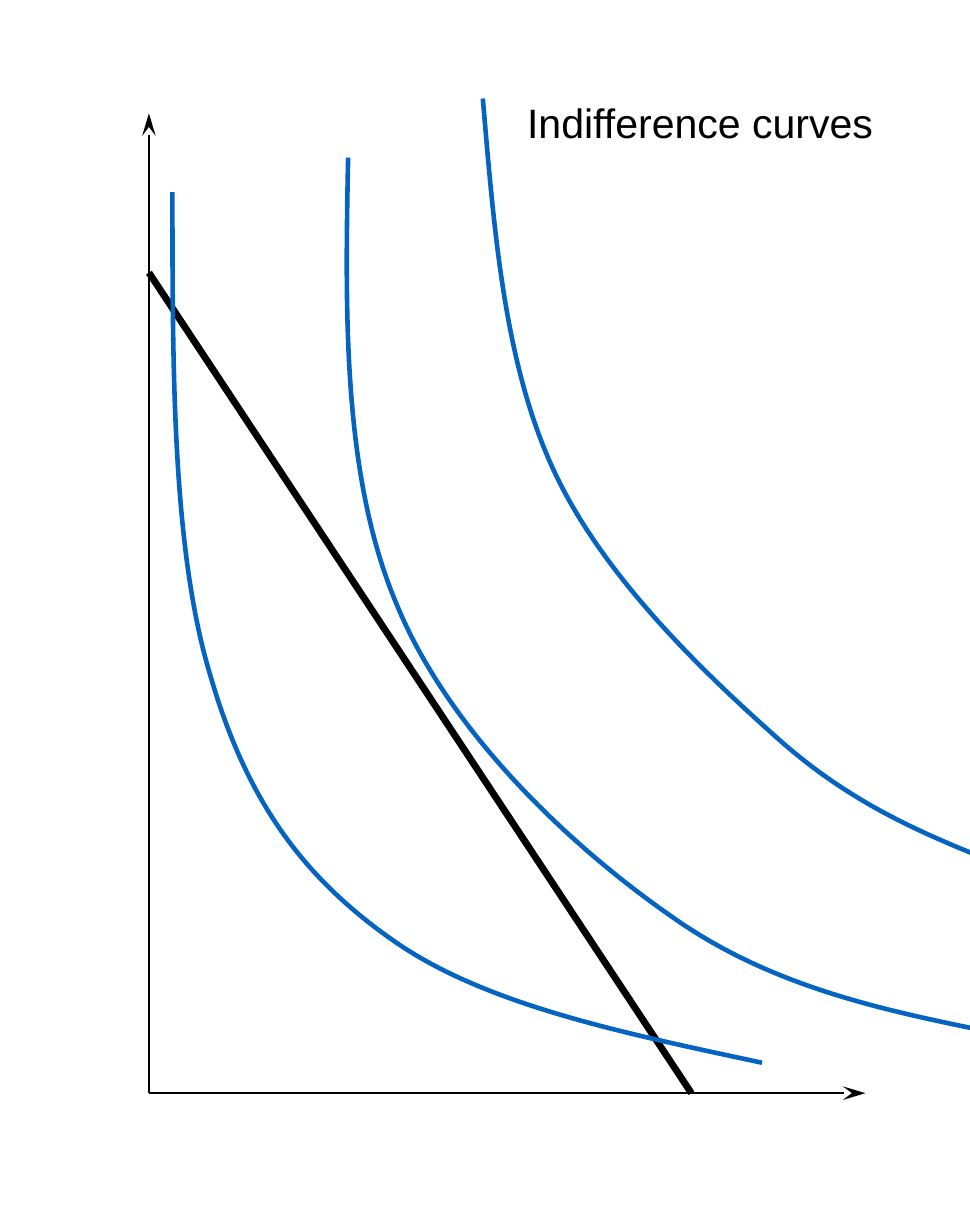
from lxml import etree
from pptx import Presentation
from pptx.dml.color import RGBColor
from pptx.enum.shapes import MSO_CONNECTOR
from pptx.enum.text import MSO_ANCHOR, MSO_AUTO_SIZE, PP_ALIGN
from pptx.oxml.ns import qn
from pptx.util import Emu, Inches, Pt

STRAIGHT = MSO_CONNECTOR.STRAIGHT
TOP = MSO_ANCHOR.TOP
LEFT = PP_ALIGN.LEFT
FIT_SHAPE = MSO_AUTO_SIZE.SHAPE_TO_FIT_TEXT

COLORS = {"ink": "000000", "curve": "0563C1"}
ROWS = 750

presentation = Presentation()
presentation.slide_width = Emu(5400675)
presentation.slide_height = Inches(7.5)
slide = presentation.slides.add_slide(presentation.slide_layouts[6])
cell = presentation.slide_height / ROWS


def grid(column, row):
    """Turn a column and a row of the square slide grid into lengths."""
    return round(column * cell), round(row * cell)


def style_line(shape, color, width):
    shape.line.color.rgb = RGBColor.from_string(COLORS[color])
    shape.line.width = Pt(width)


# Axes and budget line
axis_column, axis_row = 90.7, 665.5
origin = (axis_column, axis_row)
straight_lines = [
    (origin, (axis_column, 69), 1, True),
    (origin, (527, axis_row), 1, True),
    ((axis_column, 166), (421, axis_row), 3, False),
]
for start, end, width, has_arrow in straight_lines:
    connector = slide.shapes.add_connector(STRAIGHT, *grid(*start), *grid(*end))
    style_line(connector, "ink", width)
    properties = connector._element.spPr
    etree.SubElement(properties, qn("a:effectLst"))
    if has_arrow:
        etree.SubElement(properties.find(qn("a:ln")), qn("a:tailEnd"),
                         type="stealth", w="med", len="lg")

# Label
label = slide.shapes.add_textbox(*grid(321, 59.5), *grid(217, 30))
frame = label.text_frame
frame_format = {
    "margin_left": 0, "margin_top": 0, "margin_right": 0, "margin_bottom": 0,
    "word_wrap": False, "auto_size": FIT_SHAPE, "vertical_anchor": TOP,
}
for name, value in frame_format.items():
    setattr(frame, name, value)
paragraph = frame.paragraphs[0]
paragraph.alignment = LEFT
run = paragraph.add_run()
run.text = "Indifference curves"
for name, value in {"name": "Arial", "size": Pt(18)}.items():
    setattr(run.font, name, value)
run.font.color.rgb = RGBColor.from_string(COLORS["ink"])

# Indifference curves: a start, then three Bézier points for each segment
indifference_curves = [
    [(105, 117), (105, 226), (105, 335), (128, 411), (150, 487),
     (184, 534), (240, 573), (296, 612), (380, 629), (464, 647)],
    [(212, 96), (210, 194), (209, 292), (242, 369), (274, 446),
     (347, 515), (409, 558), (471, 602), (542, 616), (612, 630)],
    [(294, 60), (301, 141), (307, 221), (337, 286), (367, 351),
     (429, 410), (474, 450), (519, 490), (563, 508), (608, 526)],
]
for points in indifference_curves:
    start, *controls = [grid(*point) for point in points]
    builder = slide.shapes.build_freeform(*start)
    builder.add_line_segments(controls, close=False)
    curve = builder.convert_to_shape()
    curve.shadow.inherit = False
    curve.fill.background()
    style_line(curve, "curve", 2)

    # Join each three points into one smooth segment
    outline = curve._element.spPr.find(".//" + qn("a:path"))
    segments = outline.findall(qn("a:lnTo"))
    for first in range(0, len(segments), 3):
        bezier = etree.SubElement(outline, qn("a:cubicBezTo"))
        for segment in segments[first:first + 3]:
            bezier.append(segment[0])
            outline.remove(segment)

presentation.save("out.pptx")
